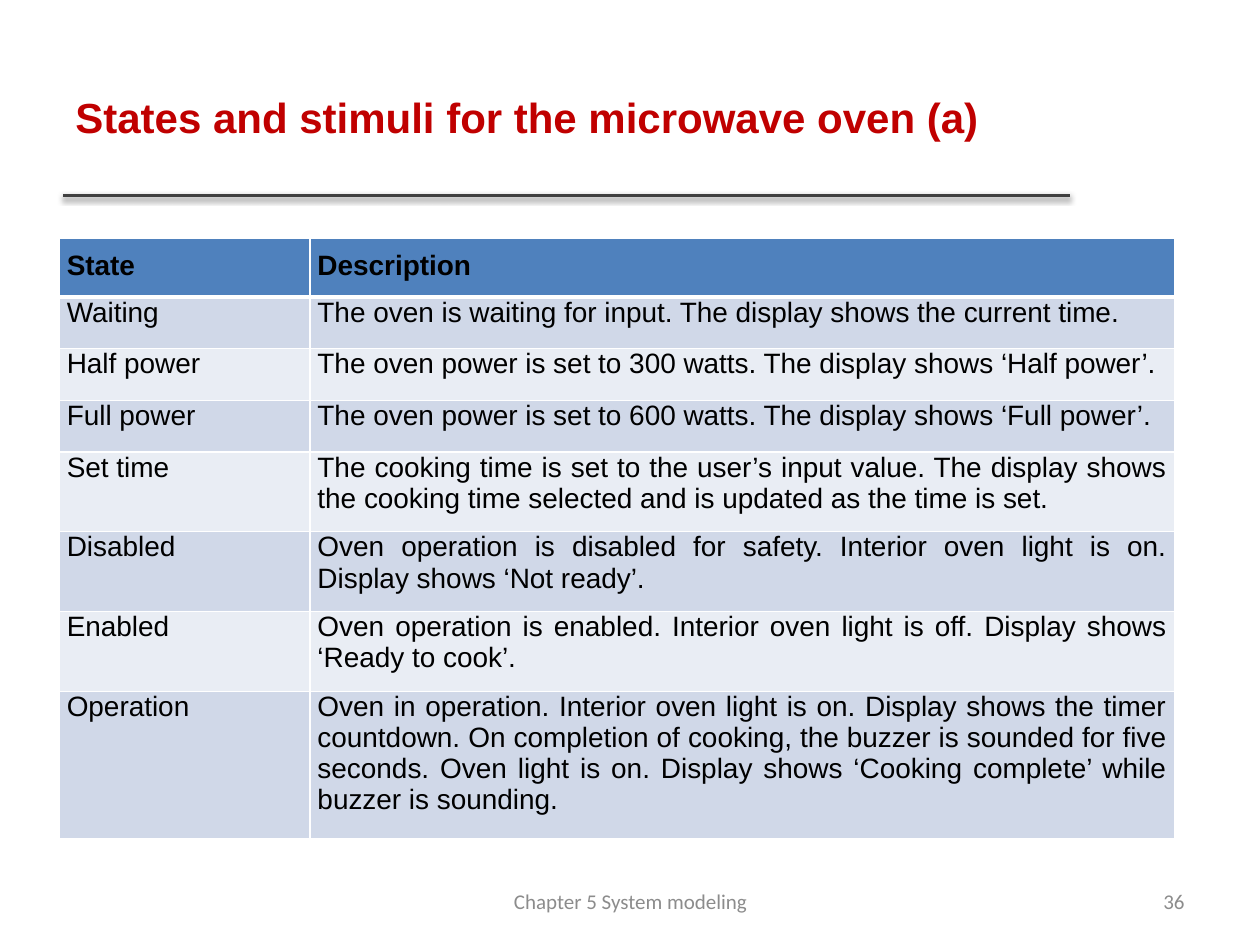
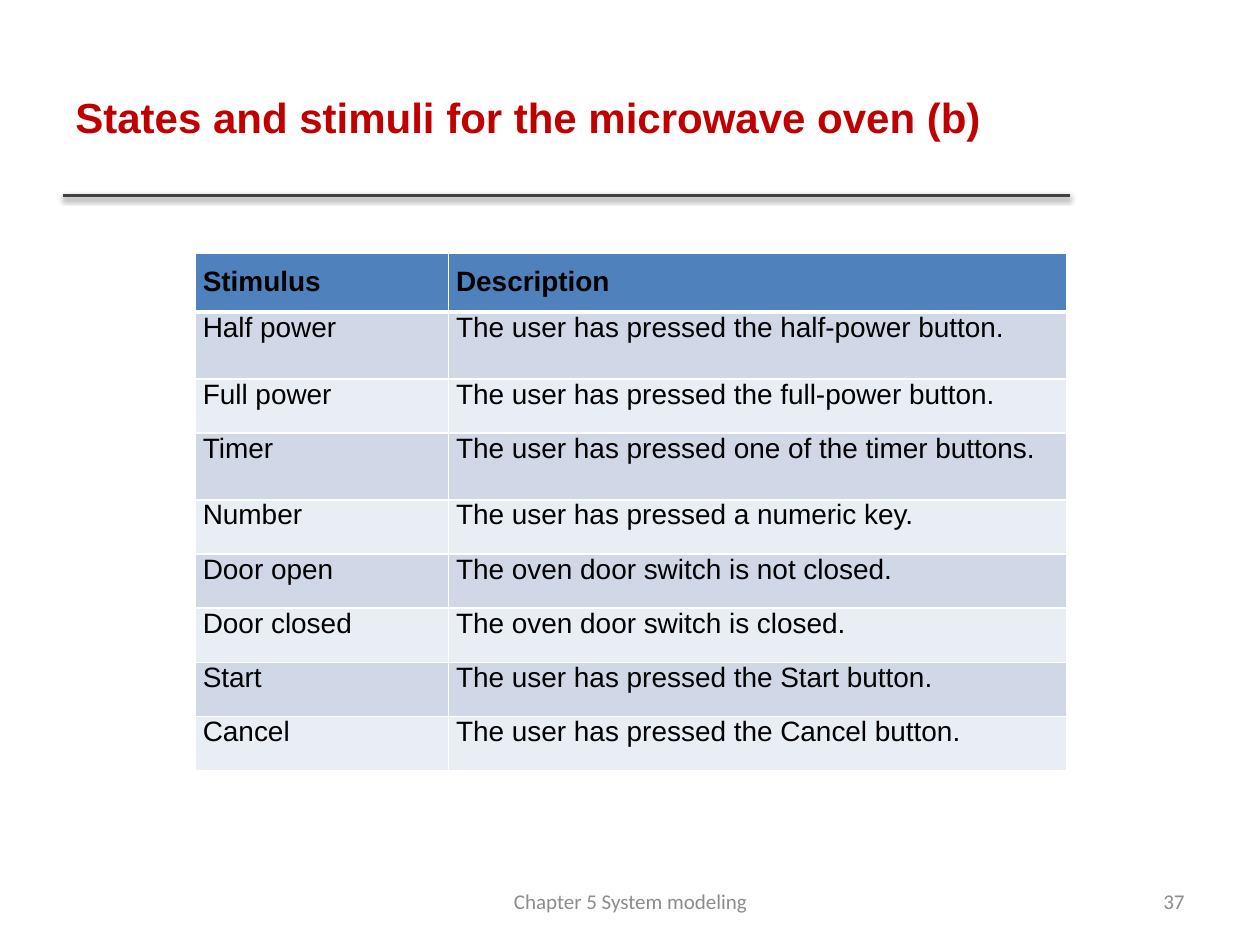
from lxml.etree import SubElement as Sub
from pptx import Presentation
from pptx.dml.color import RGBColor
from pptx.enum.shapes import MSO_CONNECTOR as Link
from pptx.enum.text import MSO_ANCHOR as Anchor, PP_ALIGN as Align
from pptx.oxml.ns import qn
from pptx.util import Inches, Pt

RED = RGBColor(0xC0, 0x00, 0x00)
BLACK = RGBColor(0x00, 0x00, 0x00)
WHITE = RGBColor(0xFF, 0xFF, 0xFF)
RULE = RGBColor(0x40, 0x40, 0x40)
GRAY = RGBColor(0x8C, 0x8C, 0x8C)
HEAD = RGBColor(0x4F, 0x81, 0xBD)
BANDS = RGBColor(0xD0, 0xD8, 0xE8), RGBColor(0xE9, 0xED, 0xF4)
COLS, ROWS = 100, 75

STATES = [
    ("State", "Description"),
    ("Waiting", "The oven is waiting for input. The display shows the current time."),
    ("Half power", "The oven power is set to 300 watts. The display shows ‘Half power’."),
    ("Full power", "The oven power is set to 600 watts. The display shows ‘Full power’."),
    ("Set time", "The cooking time is set to the user’s input value. The display shows "
     "the cooking time selected and is updated as the time is set."),
    ("Disabled", "Oven operation is disabled for safety. Interior oven light is on. "
     "Display shows ‘Not ready’."),
    ("Enabled", "Oven operation is enabled. Interior oven light is off. "
     "Display shows ‘Ready to cook’."),
    ("Operation", "Oven in operation. Interior oven light is on. Display shows the timer "
     "countdown. On completion of cooking, the buzzer is sounded for five seconds. "
     "Oven light is on. Display shows ‘Cooking complete’ while buzzer is sounding."),
]
STIMULI = [
    ("Stimulus", "Description"),
    ("Half power", "The user has pressed the half-power button."),
    ("Full power", "The user has pressed the full-power button."),
    ("Timer", "The user has pressed one of the timer buttons."),
    ("Number", "The user has pressed a numeric key."),
    ("Door open", "The oven door switch is not closed."),
    ("Door closed", "The oven door switch is closed."),
    ("Start", "The user has pressed the Start button."),
    ("Cancel", "The user has pressed the Cancel button."),
]


class Deck:
    """Holds the shared style and the current slide, measured on a grid."""

    def __init__(self):
        self.prs = Presentation()
        self.prs.slide_width, self.prs.slide_height = Inches(10), Inches(7.5)
        self.slide = None

    def x(self, cols):
        return round(self.prs.slide_width * cols / COLS)

    def y(self, rows):
        return round(self.prs.slide_height * rows / ROWS)

    def page(self, title, num):
        self.slide = self.prs.slides.add_slide(self.prs.slide_layouts[6])
        self.rule()
        self.text(title, 5, 3, 79.8, 12.5, 24, "Arial", RED, bold=True)
        self.text(num, 71.7, 69.5, 23.3, 4, 12, "Calibri", GRAY, Align.RIGHT)
        self.text("Chapter 5 System modeling", 34.2, 69.5, 31.7, 4, 12, "Calibri",
                  GRAY, Align.CENTER)

    def rule(self):
        line = self.slide.shapes.add_connector(
            Link.STRAIGHT, self.x(5), self.y(15.5), self.x(84.9), self.y(15.5))
        line.line.color.rgb, line.line.width = RULE, Pt(2)
        glow = Sub(line.element.spPr, qn("a:effectLst"))
        shade = Sub(glow, qn("a:outerShdw"), blurRad=str(Pt(3.1)), dist=str(Pt(1.6)),
                    dir="5400000", rotWithShape="0")
        tint = Sub(shade, qn("a:srgbClr"), val=str(BLACK))
        Sub(tint, qn("a:alpha"), val="38000")

    def style(self, frame, text, size, font, color, align, bold):
        frame.text = text
        para = frame.paragraphs[0]
        para.alignment = align
        face = para.runs[0].font
        face.size, face.name, face.bold = Pt(size), font, bold
        face.color.rgb = color

    def text(self, text, left, top, wide, high, size, font, color,
             align=Align.LEFT, bold=False):
        box = self.slide.shapes.add_textbox(
            self.x(left), self.y(top), self.x(wide), self.y(high))
        frame = box.text_frame
        frame.word_wrap, frame.vertical_anchor = True, Anchor.MIDDLE
        self.style(frame, text, size, font, color, align, bold)

    def edge(self, cell, side, width):
        line = Sub(cell._tc.get_or_add_tcPr(), qn("a:ln" + side), w=str(Pt(width)))
        Sub(Sub(line, qn("a:solidFill")), qn("a:srgbClr"), val=str(WHITE))

    def cell(self, cell, text, row):
        top = row == 0
        self.style(cell.text_frame, text, 16, "Arial", BLACK, Align.JUSTIFY, top)
        cell.margin_left = cell.margin_right = self.x(0.6)
        cell.margin_top = self.y(1 if top else 0)
        cell.margin_bottom = self.y(1)
        for side in "LRTB":
            thick = (row, side) in ((0, "B"), (1, "T"))
            self.edge(cell, side, 3 if thick else 1)
        cell.fill.solid()
        cell.fill.fore_color.rgb = HEAD if top else BANDS[(row - 1) % 2]

    def table(self, data, left, top, wides, highs):
        grid = self.slide.shapes.add_table(
            len(data), len(wides), self.x(left), self.y(top),
            self.x(sum(wides)), self.y(sum(highs))).table
        for col, wide in zip(grid.columns, wides):
            col.width = self.x(wide)
        for row, high in zip(grid.rows, highs):
            row.height = self.y(high)
        for i, line in enumerate(data):
            for j, text in enumerate(line):
                self.cell(grid.cell(i, j), text, i)


def main():
    deck = Deck()
    deck.page("States and stimuli for the microwave oven (a)", "36")
    deck.table(STATES, 4.7, 18.9, (19.9, 68.6), [4.1] * len(STATES))
    deck.page("States and stimuli for the microwave oven (b)", "37")
    highs = [5.3 if i in (1, 3) else 4.3 for i in range(len(STIMULI))]
    deck.table(STIMULI, 15.5, 20.1, (20.1, 49.1), highs)
    deck.prs.save("out.pptx")


if __name__ == "__main__":
    main()
